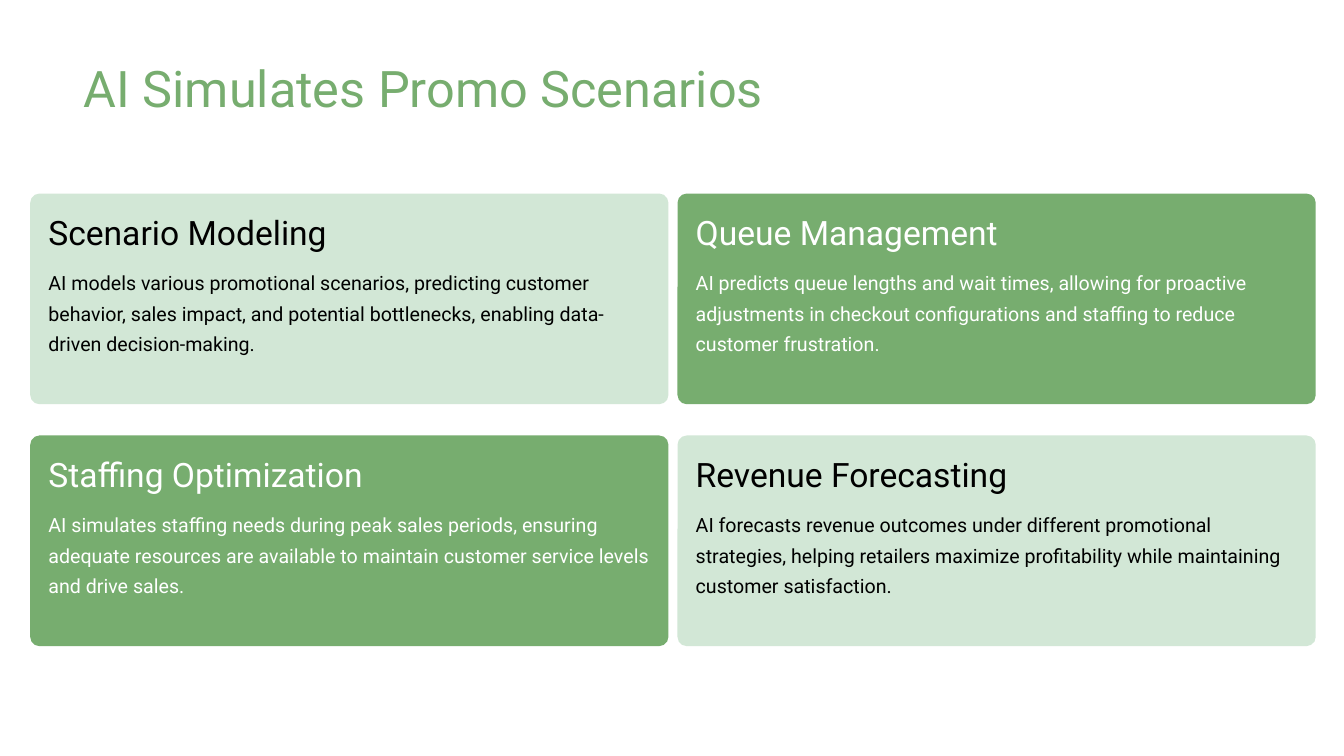
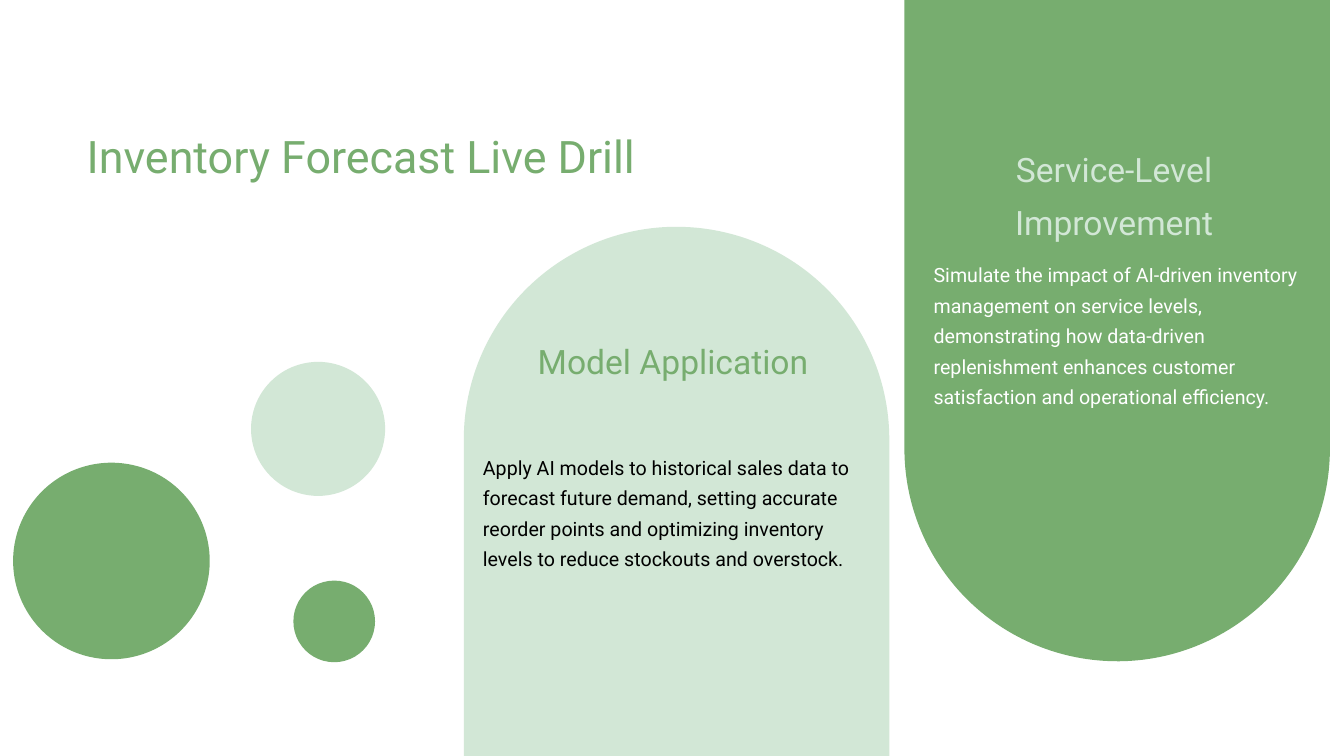
from dataclasses import dataclass

from pptx import Presentation
from pptx.dml import color
from pptx.enum import shapes, text
from pptx.util import Inches, Pt


# Theme: every colour, font and type size
@dataclass(frozen=True)
class Theme:
    green: color.RGBColor = color.RGBColor(0x77, 0xAD, 0x6F)
    mint: color.RGBColor = color.RGBColor(0xD2, 0xE7, 0xD6)
    black: color.RGBColor = color.RGBColor(0x00, 0x00, 0x00)
    white: color.RGBColor = color.RGBColor(0xFF, 0xFF, 0xFF)
    font: str = "Roboto"
    title: int = 36
    small_title: int = 32
    heading: int = 24
    body: int = 14
    body_spacing: float = 1.3


THEME = Theme()
TITLE_ONLY = 5


def set_all(target, values):
    for name, value in values.items():
        setattr(target, name, value)


def place(item, area):
    names = ("left", "top", "width", "height")
    set_all(item, dict(zip(names, map(Inches, area))))


# Text
def write(box, words, size, ink, spacing=1.0, align=text.PP_ALIGN.LEFT, inset=0):
    frame = box.text_frame
    set_all(frame, {
        "word_wrap": True,
        "auto_size": text.MSO_AUTO_SIZE.NONE,
        "vertical_anchor": text.MSO_ANCHOR.TOP,
        "margin_left": Inches(inset),
        "margin_right": Inches(inset),
        "margin_top": Inches(inset),
        "margin_bottom": Inches(inset),
    })
    para = frame.paragraphs[0]
    set_all(para, {"alignment": align, "line_spacing": spacing})
    span = para.add_run()
    span.text = words
    set_all(span.font, {"name": THEME.font, "size": Pt(size)})
    span.font.color.rgb = ink


def add_text(page, area, words, size, ink, **layout):
    box = page.shapes.add_textbox(*map(Inches, area))
    write(box, words, size, ink, **layout)


def add_page(deck, title, area, size, inset=0):
    page = deck.slides.add_slide(deck.slide_layouts[TITLE_ONLY])
    place(page.shapes.title, area)
    write(page.shapes.title, title, size, THEME.green, inset=inset)
    return page


# Plain filled shapes
def add_block(page, kind, area, fill, corners=(), rotation=0):
    block = page.shapes.add_shape(kind, *map(Inches, area))
    block.shadow.inherit = False
    block.fill.solid()
    block.fill.fore_color.rgb = fill
    block.line.fill.background()
    block.rotation = rotation
    for index, corner in enumerate(corners):
        block.adjustments[index] = corner


def add_card(page, left, top, heading, body, fill, ink):
    add_block(page, shapes.MSO_SHAPE.ROUNDED_RECTANGLE,
              (left, top, 6.33, 2.09), fill, corners=(0.044,))
    add_text(page, (left + 0.18, top + 0.18, 5.94, 0.4), heading, THEME.heading, ink)
    add_text(page, (left + 0.18, top + 0.7, 5.98, 1.25), body, THEME.body, ink,
             spacing=THEME.body_spacing)


def add_arch(page, area, fill, rotation=0):
    add_block(page, shapes.MSO_SHAPE.ROUND_2_SAME_RECTANGLE, area, fill,
              corners=(0.5, 0), rotation=rotation)


def add_circle(page, left, top, size, fill):
    add_block(page, shapes.MSO_SHAPE.OVAL, (left, top, size, size), fill)


def add_arch_text(page, heading, heading_area, heading_ink, body, body_area, body_ink):
    add_text(page, heading_area, heading, THEME.heading, heading_ink,
             spacing=THEME.body_spacing, align=text.PP_ALIGN.CENTER, inset=0.05)
    add_text(page, body_area, body, THEME.body, body_ink,
             spacing=THEME.body_spacing, inset=0.05)


# Slide 1: two by two cards in a checkerboard of fills
def build_scenarios(deck):
    page = add_page(deck, "AI Simulates Promo Scenarios",
                    (0.83, 0.57, 8.94, 0.6), THEME.title)
    cards = [
        ("Scenario Modeling",
         "AI models various promotional scenarios, predicting customer behavior, "
         "sales impact, and potential bottlenecks, enabling data-driven decision-making."),
        ("Queue Management",
         "AI predicts queue lengths and wait times, allowing for proactive adjustments "
         "in checkout configurations and staffing to reduce customer frustration."),
        ("Staffing Optimization",
         "AI simulates staffing needs during peak sales periods, ensuring adequate "
         "resources are available to maintain customer service levels and drive sales."),
        ("Revenue Forecasting",
         "AI forecasts revenue outcomes under different promotional strategies, helping "
         "retailers maximize profitability while maintaining customer satisfaction."),
    ]
    styles = [(THEME.mint, THEME.black), (THEME.green, THEME.white)]
    for index, (heading, body) in enumerate(cards):
        row, column = divmod(index, 2)
        fill, ink = styles[(row + column) % 2]
        add_card(page, 0.3 + 6.42 * column, 1.92 + 2.4 * row, heading, body, fill, ink)


# Slide 2: two arches and three circles
def build_drill(deck):
    page = add_page(deck, "Inventory Forecast Live Drill",
                    (0.81, 1.23, 7.26, 1.77), THEME.small_title, inset=0.05)
    add_arch(page, (4.6, 2.25, 4.22, 5.25), THEME.mint)
    add_arch(page, (8.97, 0, 4.22, 6.56), THEME.green, rotation=180)
    for left, top, size, fill in [
        (2.49, 3.59, 1.33, THEME.mint),
        (0.13, 4.59, 1.95, THEME.green),
        (2.91, 5.76, 0.81, THEME.green),
    ]:
        add_circle(page, left, top, size, fill)
    add_arch_text(
        page, "Model Application", (4.79, 3.21, 3.77, 1.5), THEME.green,
        "Apply AI models to historical sales data to forecast future demand, setting "
        "accurate reorder points and optimizing inventory levels to reduce stockouts "
        "and overstock.", (4.74, 4.4, 3.97, 1.25), THEME.black)
    add_arch_text(
        page, "Service-Level Improvement", (9.22, 1.31, 3.66, 1.5), THEME.mint,
        "Simulate the impact of AI-driven inventory management on service levels, "
        "demonstrating how data-driven replenishment enhances customer satisfaction "
        "and operational efficiency.", (9.21, 2.49, 3.86, 1.56), THEME.white)


def main():
    deck = Presentation()
    set_all(deck, {"slide_width": Inches(13.33), "slide_height": Inches(7.5)})
    build_scenarios(deck)
    build_drill(deck)
    deck.save("out.pptx")


if __name__ == "__main__":
    main()
